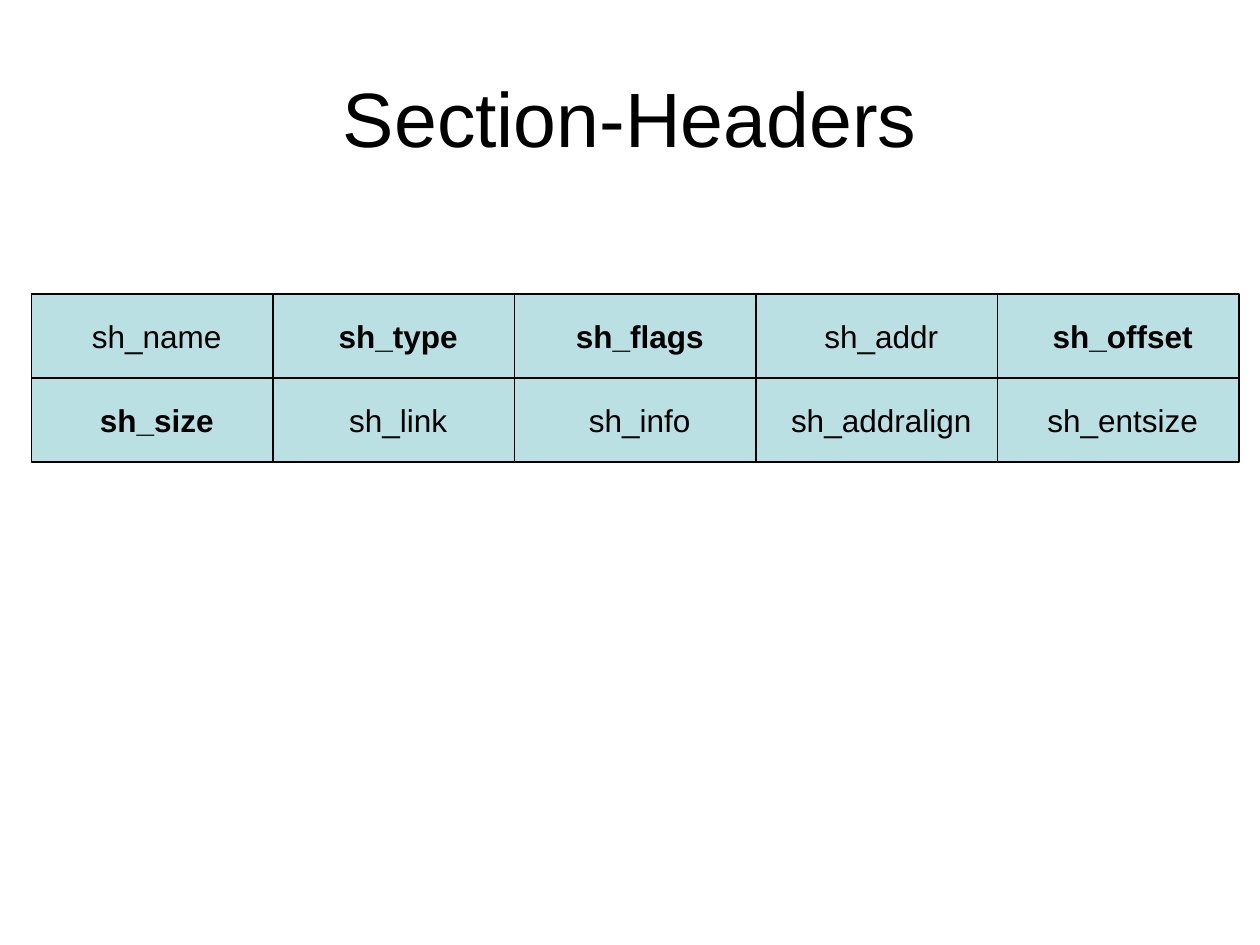
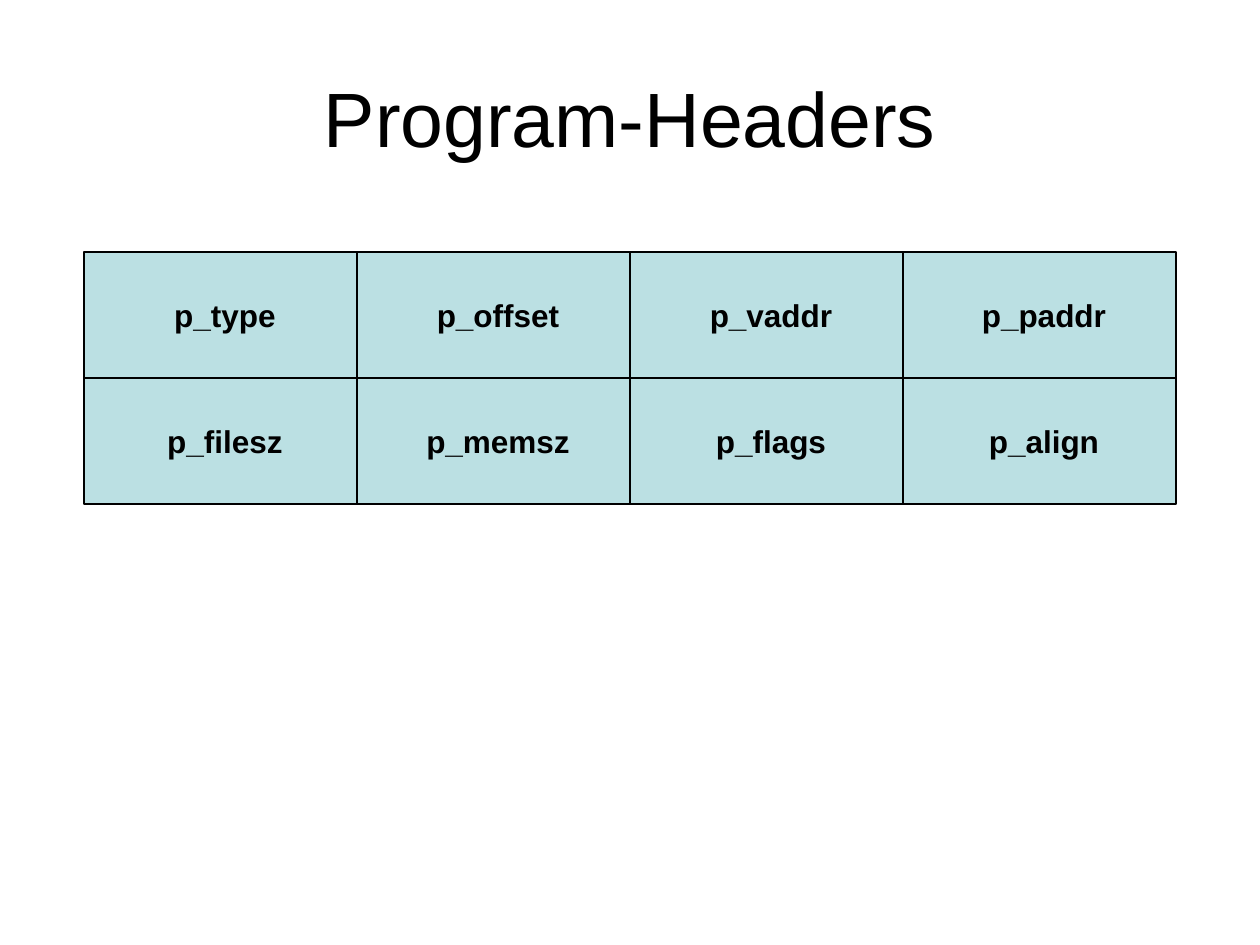
from dataclasses import dataclass

import pptx
import pptx.dml.color
import pptx.enum.shapes
import pptx.enum.text
import pptx.presentation
import pptx.slide
import pptx.util

# Shared style
FONT = "Arial"
BLACK = pptx.dml.color.RGBColor(0x00, 0x00, 0x00)
CELL_FILL = pptx.dml.color.RGBColor(0xBB, 0xE0, 0xE3)
TITLE_SIZE = 44
FIELD_SIZE = 18
LINE_WIDTH = 0.75
# Field names sit slightly right of the cell centre
FIELD_INSET_LEFT = 0.17

# Slide grid: 120 columns by 90 rows, each unit a twelfth of an inch
UNIT = pptx.util.Inches(1) // 12
GRID_COLS, GRID_ROWS = 120, 90


@dataclass(frozen=True)
class Field:
    name: str
    bold: bool = True


@dataclass(frozen=True)
class HeaderLayout:
    """Fields of one header, with place and cell size in grid units."""
    title: str
    left: int
    top: int
    cell_width: int
    cell_height: int
    rows: tuple[tuple[Field, ...], ...]


HEADERS = (
    HeaderLayout("Section-Headers", 3, 28, 23, 8, (
        (Field("sh_name", False), Field("sh_type"), Field("sh_flags"),
         Field("sh_addr", False), Field("sh_offset")),
        (Field("sh_size"), Field("sh_link", False), Field("sh_info", False),
         Field("sh_addralign", False), Field("sh_entsize", False)),
    )),
    HeaderLayout("Program-Headers", 8, 24, 26, 12, (
        (Field("p_type"), Field("p_offset"), Field("p_vaddr"), Field("p_paddr")),
        (Field("p_filesz"), Field("p_memsz"), Field("p_flags"), Field("p_align")),
    )),
)


def write_text(tf: pptx.text.text.TextFrame, text: str, size: float, bold: bool = False) -> None:
    """Put one centred line in a text frame."""
    tf.text = text
    tf.vertical_anchor = pptx.enum.text.MSO_ANCHOR.MIDDLE
    p = tf.paragraphs[0]
    p.alignment = pptx.enum.text.PP_ALIGN.CENTER
    font = p.runs[0].font
    font.name = FONT
    font.size = pptx.util.Pt(size)
    font.bold = bold
    font.color.rgb = BLACK


def set_title(s: pptx.slide.Slide, title: str) -> None:
    sp = s.shapes.title
    sp.left, sp.top = 6 * UNIT, pptx.util.Inches(0.3)
    sp.width, sp.height = 108 * UNIT, 15 * UNIT
    write_text(sp.text_frame, title, TITLE_SIZE)


def add_field(s: pptx.slide.Slide, field: Field, left: int, top: int,
              width: int, height: int) -> None:
    sp = s.shapes.add_shape(pptx.enum.shapes.MSO_SHAPE.RECTANGLE,
                            left * UNIT, top * UNIT, width * UNIT, height * UNIT)
    sp.shadow.inherit = False
    sp.fill.solid()
    sp.fill.fore_color.rgb = CELL_FILL
    sp.line.color.rgb = BLACK
    sp.line.width = pptx.util.Pt(LINE_WIDTH)
    tf = sp.text_frame
    tf.word_wrap = False
    tf.margin_left = pptx.util.Inches(FIELD_INSET_LEFT)
    write_text(tf, field.name, FIELD_SIZE, field.bold)


def add_header_slide(prs: pptx.presentation.Presentation, header: HeaderLayout) -> None:
    s = prs.slides.add_slide(prs.slide_layouts.get_by_name("Title Only"))
    set_title(s, header.title)
    # Adjoining cells, row by row
    for row, fields in enumerate(header.rows):
        for col, field in enumerate(fields):
            add_field(s, field,
                      header.left + col * header.cell_width,
                      header.top + row * header.cell_height,
                      header.cell_width, header.cell_height)


def main() -> None:
    prs = pptx.Presentation()
    prs.slide_width, prs.slide_height = GRID_COLS * UNIT, GRID_ROWS * UNIT
    for header in HEADERS:
        add_header_slide(prs, header)
    prs.save("out.pptx")


if __name__ == "__main__":
    main()
